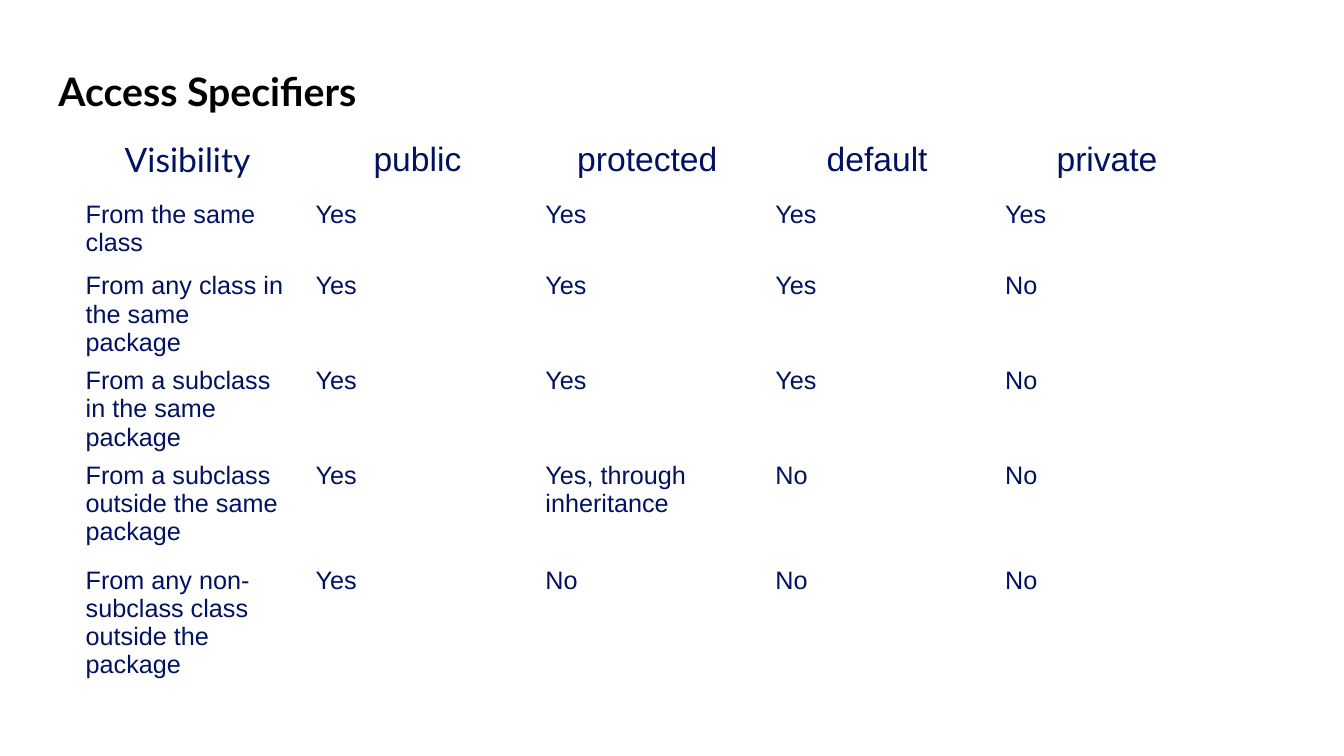
from dataclasses import dataclass

from lxml.etree import SubElement
from pptx import Presentation
from pptx.dml.color import RGBColor
from pptx.enum.text import MSO_ANCHOR, PP_ALIGN
from pptx.oxml.ns import qn
from pptx.util import Pt

EMU_PER_PX = 9144  # 100 px to the inch


@dataclass(frozen=True)
class Theme:
    title_color: str = "000000"
    table_color: str = "001261"
    border_color: str = "FFFFFF"
    title_font: str = "Lato"
    table_font: str = "Arial"
    title_size: int = 28
    header_size: int = 24
    body_size: int = 18


THEME = Theme()
COLUMN_WIDTH = 228
ROW_HEIGHTS = [71, 71, 80, 86, 104, 112]
ACCESS_ROWS = [
    ["Visibility", "public", "protected", "default", "private"],
    ["From the same class", "Yes", "Yes", "Yes", "Yes"],
    ["From any class in the same package", "Yes", "Yes", "Yes", "No"],
    ["From a subclass in the same package", "Yes", "Yes", "Yes", "No"],
    ["From a subclass outside the same package", "Yes", "Yes, through inheritance", "No", "No"],
    ["From any non-subclass class outside the package", "Yes", "No", "No", "No"],
]


def px(length):
    return length * EMU_PER_PX


def format_runs(paragraph, font_name, size, color, bold=False):
    for run in paragraph.runs:
        run.font.name = font_name
        run.font.size = Pt(size)
        run.font.bold = bold
        run.font.color.rgb = RGBColor.from_string(color)


def set_title(slide, text, left, top, width, height):
    title = slide.shapes.title
    title.left, title.top, title.width, title.height = map(px, (left, top, width, height))
    frame = title.text_frame
    frame.text = text
    frame.vertical_anchor = MSO_ANCHOR.MIDDLE
    paragraph = frame.paragraphs[0]
    paragraph.alignment = PP_ALIGN.LEFT
    format_runs(paragraph, THEME.title_font, THEME.title_size, THEME.title_color, bold=True)


def set_borders(cell, bottom_width):
    """Draw the four cell borders, 1 pt wide except for the bottom one."""
    properties = cell._tc.get_or_add_tcPr()
    for side, width in (("L", 1), ("R", 1), ("T", 1), ("B", bottom_width)):
        line = SubElement(properties, qn(f"a:ln{side}"), w=str(Pt(width)))
        fill = SubElement(line, qn("a:solidFill"))
        SubElement(fill, qn("a:srgbClr"), val=THEME.border_color)


def fill_cell(cell, text, is_header, font_name):
    set_borders(cell, bottom_width=3 if is_header else 1)
    cell.fill.background()
    cell.margin_left = cell.margin_right = px(13)
    cell.margin_top = cell.margin_bottom = px(5)
    cell.vertical_anchor = MSO_ANCHOR.MIDDLE if is_header else MSO_ANCHOR.TOP
    cell.text_frame.text = text
    paragraph = cell.text_frame.paragraphs[0]
    paragraph.alignment = PP_ALIGN.CENTER if is_header else PP_ALIGN.LEFT
    size = THEME.header_size if is_header else THEME.body_size
    format_runs(paragraph, font_name, size, THEME.table_color)


def add_access_table(slide, left, top):
    column_count = len(ACCESS_ROWS[0])
    frame = slide.shapes.add_table(
        len(ACCESS_ROWS), column_count, px(left), px(top),
        px(COLUMN_WIDTH * column_count), px(sum(ROW_HEIGHTS)),
    )
    table = frame.table
    table.first_row = table.horz_banding = False
    for column in table.columns:
        column.width = px(COLUMN_WIDTH)
    for row_index, (texts, height) in enumerate(zip(ACCESS_ROWS, ROW_HEIGHTS)):
        table.rows[row_index].height = px(height)
        for column_index, text in enumerate(texts):
            is_corner = row_index == column_index == 0
            font_name = THEME.title_font if is_corner else THEME.table_font
            fill_cell(table.cell(row_index, column_index), text, row_index == 0, font_name)


def main():
    presentation = Presentation()
    presentation.slide_width = px(1333)
    presentation.slide_height = px(750)
    slide = presentation.slides.add_slide(presentation.slide_layouts[5])
    set_title(slide, "Access Specifiers", 48, 59, 1184, 63)
    add_access_table(slide, 72, 123)
    presentation.save("out.pptx")


if __name__ == "__main__":
    main()
